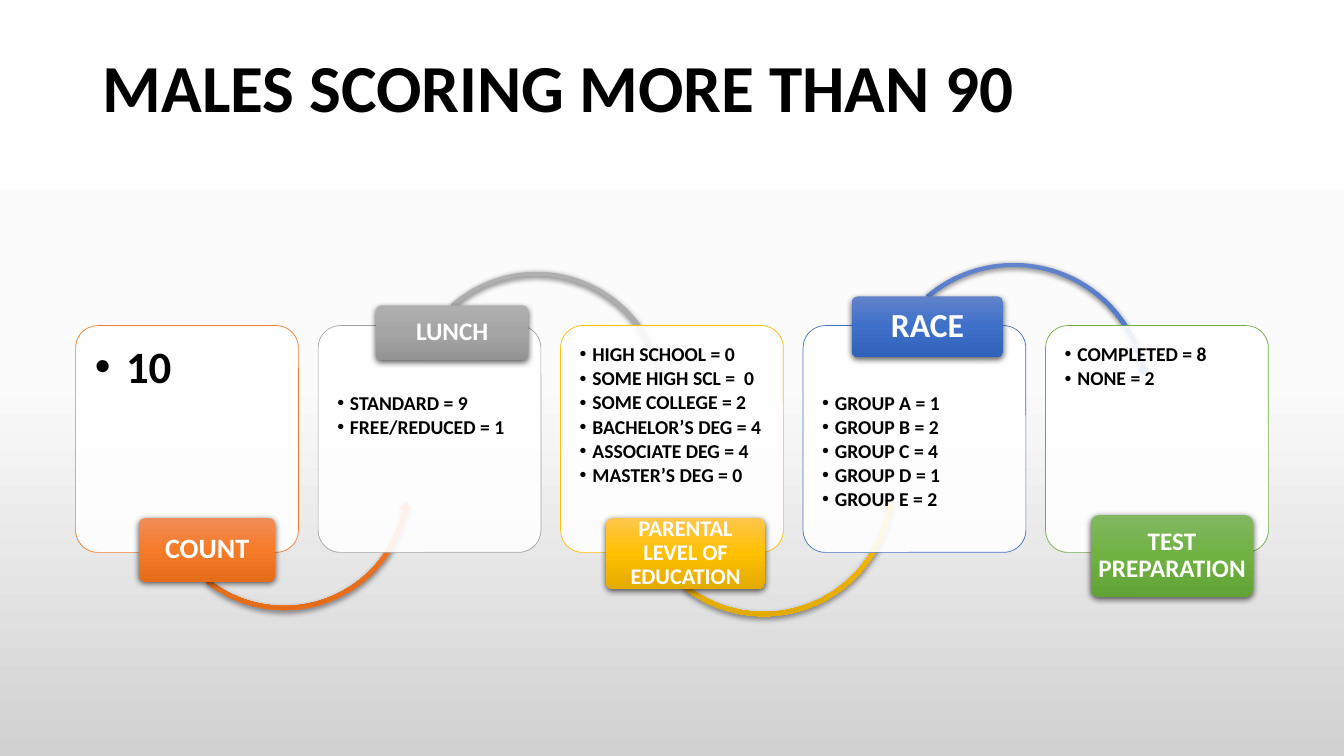
from dataclasses import dataclass

from lxml import etree
from pptx import Presentation
from pptx.dml.color import RGBColor
from pptx.enum.shapes import MSO_SHAPE as SHAPE
from pptx.enum.text import MSO_ANCHOR as ANCHOR, PP_ALIGN as ALIGN
from pptx.oxml import parse_xml
from pptx.oxml.ns import nsdecls, qn
from pptx.util import Inches, Pt


@dataclass(frozen=True)
class Theme:
    font: str = "Calibri"
    text: str = "000000"
    white: str = "FFFFFF"
    background: tuple = ("FFFFFF", "FBFBFB", "D1D1D1")
    orange: tuple = ("ED7D31", "F18C57", "F67B28", "E56C19")
    gray: tuple = ("A5A5A5", "AFAFAF", "A5A5A5", "939393")
    gold: tuple = ("FFC000", "FFC64B", "FFC000", "E3AB00")
    blue: tuple = ("4472C4", "6183CB", "3E70CA", "3062BB")
    green: tuple = ("70AD47", "81B861", "6FB242", "62A336")
    title_size: int = 48
    count_size: int = 32
    list_size: int = 14


theme = Theme()


def set_gradient(fill, element, colors):
    """Vertical gradient with evenly spaced stops, top to bottom."""
    fill.gradient()
    fill.gradient_angle = 270
    stops = element.find(".//" + qn("a:gsLst"))
    for stop in list(stops):
        stops.remove(stop)
    for index, color in enumerate(colors):
        stop = etree.SubElement(stops, qn("a:gs"), pos=str(index * 50000))
        etree.SubElement(stop, qn("a:srgbClr"), val=color)


def format_text(shape, text, size, color, margins, anchor):
    """Bold text with tight lines; margins are horizontal, vertical."""
    frame = shape.text_frame
    frame.text = text
    frame.word_wrap = True
    frame.vertical_anchor = anchor
    frame.margin_left = frame.margin_right = Inches(margins[0])
    frame.margin_top = frame.margin_bottom = Inches(margins[1])
    for paragraph in frame.paragraphs:
        paragraph.line_spacing = 0.9
        for run in paragraph.runs:
            run.font.name = theme.font
            run.font.size = Pt(size)
            run.font.bold = True
            run.font.color.rgb = RGBColor.from_string(color)


presentation = Presentation()
presentation.slide_width = Inches(13.33)
presentation.slide_height = Inches(7.5)
slide = presentation.slides.add_slide(presentation.slide_layouts[6])
set_gradient(slide.background.fill, slide.element, theme.background)

# Title
title = slide.shapes.add_textbox(Inches(0.92), Inches(0.4), Inches(11.5), Inches(1.01))
format_text(title, "MALES SCORING MORE THAN 90", theme.title_size, theme.text,
            (0.1, 0.05), ANCHOR.MIDDLE)

# Steps: colors, items, item size, label, label size, label box, arrow box, arrow shape
UNDER, OVER = SHAPE.LEFT_CIRCULAR_ARROW, SHAPE.CIRCULAR_ARROW
steps = [
    (theme.orange, ["10"], theme.count_size,
     "COUNT", 20, (1.38, 5.14, 1.35, 0.63),
     (1.55, 3.54, 2.54), (UNDER, 0.016, 1.919, 6.792, 77.363, 0.019)),
    (theme.gray, ["STANDARD = 9", "FREE/REDUCED = 1"], theme.list_size,
     "LUNCH", 18, (3.73, 3.03, 1.51, 0.54),
     (4.02, 2.67, 2.6), (OVER, 0.016, 1.873, 207.465, 136.848, 0.018)),
    (theme.gold, ["HIGH SCHOOL = 0", "SOME HIGH SCL =  0", "SOME COLLEGE = 2",
                  "BACHELOR’S DEG = 4", "ASSOCIATE DEG = 4", "MASTER’S DEG = 0"],
     theme.list_size,
     "PARENTAL LEVEL OF EDUCATION", 16, (6.01, 5.14, 1.58, 0.7),
     (6.26, 3.51, 2.63), (UNDER, 0.016, 1.849, 6.123, 76.764, 0.018)),
    (theme.blue, [f"GROUP {group} = {count}" for group, count in zip("ABCDE", (1, 2, 4, 1, 2))],
     theme.list_size,
     "RACE", 24, (8.45, 2.94, 1.5, 0.6),
     (8.69, 2.58, 2.73), (OVER, 0.015, 1.779, 208.412, 137.702, 0.018)),
    (theme.green, ["COMPLETED = 8", "NONE = 2"], theme.list_size,
     "TEST PREPARATION", 18, (10.82, 5.11, 1.61, 0.81), None, None),
]
PANEL_LEFT, PANEL_TOP, PANEL_PITCH = 0.75, 3.23, 2.405
PANEL_WIDTH, PANEL_HEIGHT = 2.21, 2.25

for index, (colors, items, item_size, label, label_size, label_box,
            arrow_box, arrow_shape) in enumerate(steps):
    line_color, *gradient = colors
    left = PANEL_LEFT + index * PANEL_PITCH

    # Translucent panel
    panel = slide.shapes.add_shape(SHAPE.ROUNDED_RECTANGLE, Inches(left), Inches(PANEL_TOP),
                                   Inches(PANEL_WIDTH), Inches(PANEL_HEIGHT))
    panel.adjustments[0] = 0.1
    panel.shadow.inherit = False
    panel.fill.solid()
    panel.fill.fore_color.rgb = RGBColor.from_string(theme.white)
    fill_color = panel.element.spPr.find(qn("a:solidFill")).find(qn("a:srgbClr"))
    etree.SubElement(fill_color, qn("a:alpha"), val="90000")
    panel.line.color.rgb = RGBColor.from_string(line_color)
    panel.line.width = Pt(0.5)

    # Bulleted items, lower when the label sits on top
    text_top = PANEL_TOP + (0.53 if index % 2 else 0.05)
    item_list = slide.shapes.add_textbox(Inches(left + 0.05), Inches(text_top),
                                         Inches(2.11), Inches(1.66))
    format_text(item_list, "\n".join(items), item_size, theme.text, (0.14, 0.14), ANCHOR.TOP)
    indent = Inches(0.31 if item_size == theme.count_size else 0.125)
    for paragraph in item_list.text_frame.paragraphs:
        paragraph.space_after = Pt(item_size * 0.15)
        properties = paragraph._p.get_or_add_pPr()
        properties.set("marL", str(indent))
        properties.set("indent", str(-indent))
        etree.SubElement(properties, qn("a:buFont"), typeface="Arial")
        etree.SubElement(properties, qn("a:buChar"), char="•")

    # Arrow to the next panel, then the label
    raised = []
    if arrow_box:
        arrow_left, arrow_top, arrow_size = arrow_box
        kind, *adjustments = arrow_shape
        arrow = slide.shapes.add_shape(kind, Inches(arrow_left), Inches(arrow_top),
                                       Inches(arrow_size), Inches(arrow_size))
        for position, value in enumerate(adjustments):
            arrow.adjustments[position] = value
        raised.append(arrow)

    tag = slide.shapes.add_shape(SHAPE.ROUNDED_RECTANGLE, *map(Inches, label_box))
    tag.adjustments[0] = 0.1
    format_text(tag, label, label_size, theme.white, (0.04, 0.03), ANCHOR.MIDDLE)
    tag.text_frame.paragraphs[0].alignment = ALIGN.CENTER
    raised.append(tag)

    # Gradient and soft shadow
    for shape in raised:
        set_gradient(shape.fill, shape.element, gradient)
        shape.line.fill.background()
        shape.element.spPr.append(parse_xml(
            f'<a:effectLst {nsdecls("a")}><a:outerShdw blurRad="{Pt(4.5)}" dist="{Pt(1.5)}" '
            'dir="5400000" algn="ctr" rotWithShape="0"><a:srgbClr val="000000">'
            '<a:alpha val="63000"/></a:srgbClr></a:outerShdw></a:effectLst>'))

presentation.save("out.pptx")
